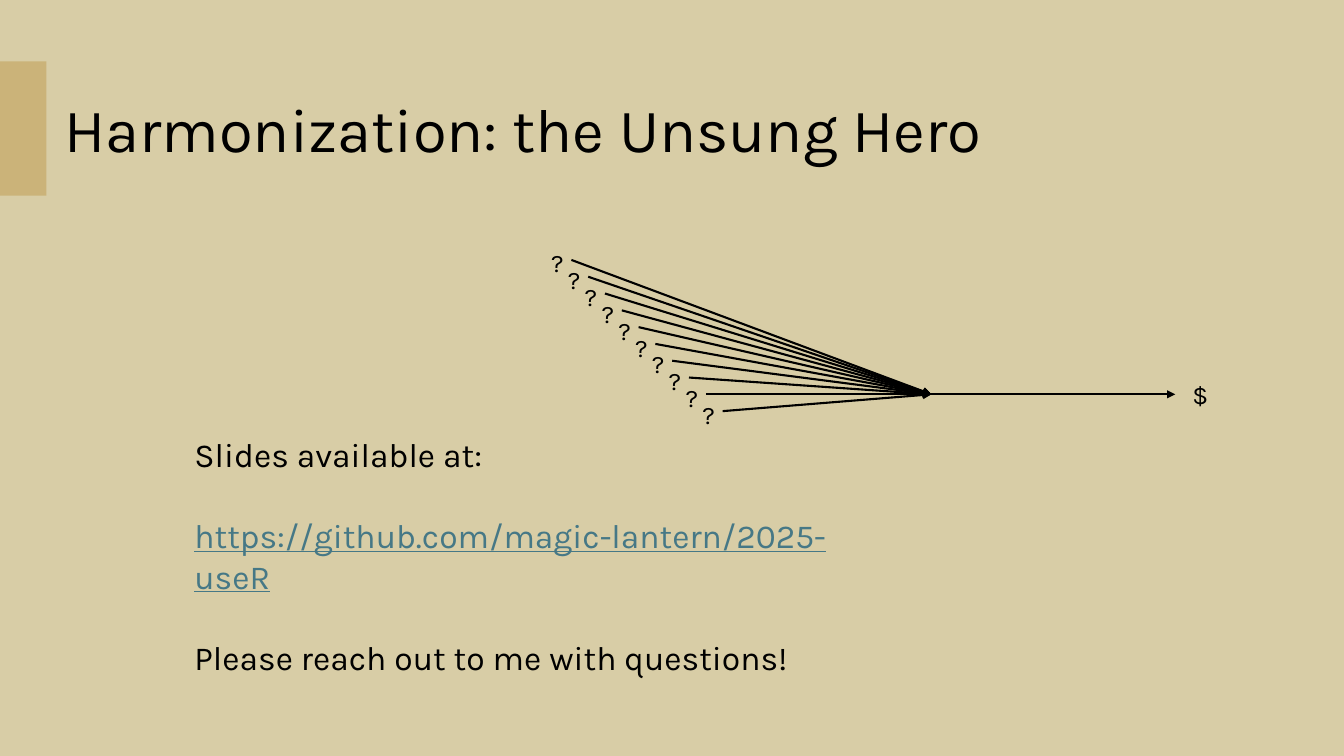
from lxml import etree
from pptx import Presentation
from pptx.dml.color import RGBColor
from pptx.enum.shapes import MSO_CONNECTOR, MSO_SHAPE
from pptx.enum.text import MSO_ANCHOR, MSO_AUTO_SIZE, PP_ALIGN
from pptx.oxml.ns import qn
from pptx.util import Cm, Pt

STRAIGHT = MSO_CONNECTOR.STRAIGHT
RECT = MSO_SHAPE.RECTANGLE
MIDDLE = MSO_ANCHOR.MIDDLE
NO_FIT = MSO_AUTO_SIZE.NONE
LEFT = PP_ALIGN.LEFT

FONT = "Karla"
COLORS = {"sand": "D8CDA6", "bar": "CBB379", "ink": "000000", "link": "467886"}
SOURCES = 10


def color(name):
    return RGBColor.from_string(COLORS[name])


def add_run(p, text, size, ink="ink", underline=None):
    r = p.add_run()
    r.text = text
    r.font.name = FONT
    r.font.size = Pt(size)
    r.font.color.rgb = color(ink)
    r.font.underline = underline


def add_text(s, x, y, w, h, wrap=True):
    """Add an empty text box, lengths in cm, and return its text frame."""
    tf = s.shapes.add_textbox(Cm(x), Cm(y), Cm(w), Cm(h)).text_frame
    tf.word_wrap = wrap
    return tf


def add_arrow(s, x1, y1, x2, y2):
    line = s.shapes.add_connector(STRAIGHT, Cm(x1), Cm(y1), Cm(x2), Cm(y2))
    line.line.color.rgb = color("ink")
    line.line.width = Pt(1.5)
    ln = line.line._get_or_add_ln()
    etree.SubElement(ln, qn("a:tailEnd"), type="triangle")
    etree.SubElement(line._element.spPr, qn("a:effectLst"))


def add_accent_bar(s, x, y, w, h):
    sp = s.shapes.add_shape(RECT, Cm(x), Cm(y), Cm(w), Cm(h))
    sp.shadow.inherit = False
    sp.fill.solid()
    sp.fill.fore_color.rgb = color("bar")
    sp.line.fill.background()


def set_title(s, x, y, w, h):
    title = s.shapes.title
    title.left, title.top, title.width, title.height = Cm(x), Cm(y), Cm(w), Cm(h)
    tf = title.text_frame
    tf.auto_size = NO_FIT
    tf.vertical_anchor = MIDDLE
    p = tf.paragraphs[0]
    p.alignment = LEFT
    p.line_spacing = 0.9
    add_run(p, "Harmonization: the Unsung Hero", 44)


def add_contact(s, x, y, w, h):
    tf = add_text(s, x, y, w, h)
    lines = [
        ("Slides available at:", "ink", None),
        ("https://github.com/magic-lantern/2025-useR", "link", True),
        ("Please reach out to me with questions!", "ink", None),
    ]
    for i, (text, ink, underline) in enumerate(lines):
        p = tf.paragraphs[0] if i == 0 else tf.add_paragraph()
        if i:
            p.space_before = Pt(29)
        add_run(p, text, 24, ink, underline)


def add_funnel(s, x, y, w, h):
    """Draw question marks converging on one hub that leads to a dollar sign."""
    label_w, label_h, result_w = 1.52, 1.02, 0.86
    step = (h - label_h) / (SOURCES - 1)
    start_dx, start_dy = 0.76, 0.43
    hub_x, hub_y = x + 9.83, y + start_dy + 8 * step
    for i in range(SOURCES):
        left, top = x + i * step, y + i * step
        add_arrow(s, left + start_dx, top + start_dy, hub_x, hub_y)
        tf = add_text(s, left, top, label_w, label_h)
        add_run(tf.paragraphs[0], "?", 18)
    result_x = x + w - result_w
    add_arrow(s, hub_x - 0.15, hub_y, result_x - 0.18, hub_y)
    tf = add_text(s, result_x, hub_y - label_h / 2, result_w, label_h, wrap=False)
    add_run(tf.paragraphs[0], "$", 18)


def build_closing_slide(prs):
    s = prs.slides.add_slide(prs.slide_layouts[5])
    s.background.fill.solid()
    s.background.fill.fore_color.rgb = color("sand")
    add_accent_bar(s, 0, 1.55, 1.17, 3.38)
    set_title(s, 1.37, 1.5, 25.2, 3.68)
    add_contact(s, 4.65, 10.82, 17.27, 5.38)
    add_funnel(s, 13.64, 6.12, 17.02, 4.83)


def main():
    prs = Presentation()
    prs.slide_width, prs.slide_height = Cm(33.87), Cm(19.05)
    build_closing_slide(prs)
    prs.save("out.pptx")


if __name__ == "__main__":
    main()
